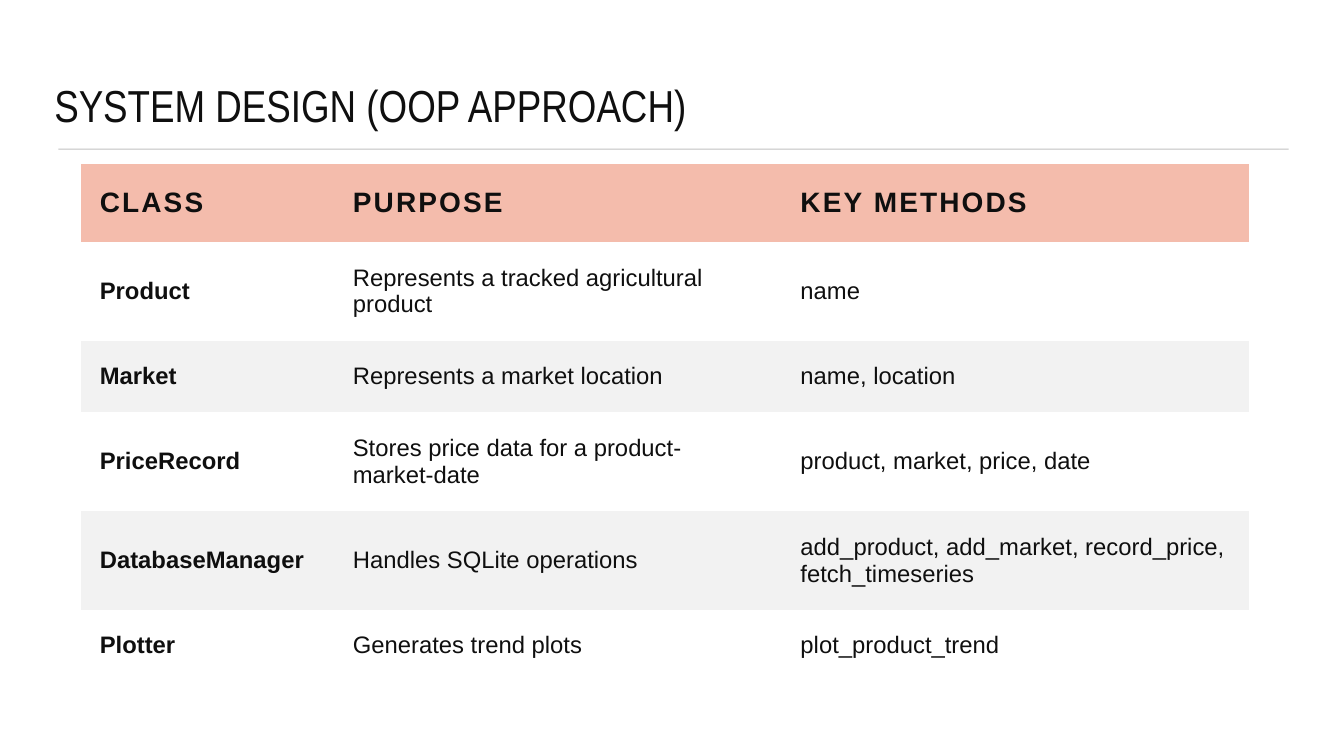
from dataclasses import dataclass

from lxml import etree
from pptx import Presentation
from pptx.dml.color import RGBColor
from pptx.enum.shapes import MSO_CONNECTOR
from pptx.enum.text import MSO_ANCHOR
from pptx.oxml.ns import qn
from pptx.util import Inches, Pt

STRAIGHT = MSO_CONNECTOR.STRAIGHT
MIDDLE, BOTTOM = MSO_ANCHOR.MIDDLE, MSO_ANCHOR.BOTTOM
BLANK_LAYOUT = 6
PLAIN_TABLE_STYLE = "{2D5ABB26-0587-4C30-8999-92F81FD0307C}"


@dataclass(frozen=True)
class Theme:
    ink: RGBColor = RGBColor(0x0F, 0x0F, 0x0F)
    header_fill: RGBColor = RGBColor(0xF4, 0xBC, 0xAC)
    band_fill: RGBColor = RGBColor(0xF2, 0xF2, 0xF2)
    title_font: str = "Arial Narrow"
    body_font: str = "Arial"
    title_size: int = 32
    header_size: int = 20
    body_size: int = 17
    header_tracking: int = 150  # hundredths of a point
    rule_opacity: int = 25  # percent
    rule_width: float = 0.75
    cell_inset: float = 0.19


THEME = Theme()
SLIDE_SIZE = (13.33, 7.5)

# Boxes: left, top, width, height in inches
TITLE_BOX = (0.44, 0.36, 12.31, 1)
RULE_BOX = (0.58, 1.48, 12.2, 0)
CLASSES_BOX = (0.8, 1.63, 11.59, 5.13)

# Column and row shares of the table
COLUMN_SHARES = (2.51, 4.44, 4.64)
ROW_SHARES = (0.77, 0.98, 0.71, 0.98, 0.98, 0.71)

CLASSES = (
    ("CLASS", "PURPOSE", "KEY METHODS"),
    ("Product", "Represents a tracked agricultural product", "name"),
    ("Market", "Represents a market location", "name, location"),
    ("PriceRecord", "Stores price data for a product-market-date",
     "product, market, price, date"),
    ("DatabaseManager", "Handles SQLite operations",
     "add_product, add_market, record_price, fetch_timeseries"),
    ("Plotter", "Generates trend plots", "plot_product_trend"),
)


def style_font(paragraph, name, size, bold=False):
    font = paragraph.font
    font.name, font.size, font.bold = name, Pt(size), bold
    font.color.rgb = THEME.ink


def add_title(slide, box, text):
    title = slide.shapes.add_textbox(*map(Inches, box))
    frame = title.text_frame
    frame.word_wrap = True
    frame.vertical_anchor = BOTTOM
    heading = frame.paragraphs[0]
    heading.text = text
    heading.line_spacing = 0.9
    style_font(heading, THEME.title_font, THEME.title_size)


def add_rule(slide, box):
    left, top, width, height = box
    rule = slide.shapes.add_connector(
        STRAIGHT, *map(Inches, (left, top, left + width, top + height)))
    rule.line.color.rgb = THEME.ink
    rule.line.width = Pt(THEME.rule_width)
    # Translucent stroke and no shadow
    properties = rule._element.spPr
    color = properties.find(".//" + qn("a:srgbClr"))
    etree.SubElement(color, qn("a:alpha"), val=str(THEME.rule_opacity * 1000))
    etree.SubElement(properties, qn("a:effectLst"))


def fill_cell(cell, text, row, column):
    is_header = row == 0
    cell.vertical_anchor = MIDDLE
    cell.margin_left = cell.margin_right = Inches(THEME.cell_inset)
    cell.margin_top = cell.margin_bottom = Inches(THEME.cell_inset)

    # Header colour, then a band on every second class
    if is_header or row % 2 == 0:
        cell.fill.solid()
        cell.fill.fore_color.rgb = (
            THEME.header_fill if is_header else THEME.band_fill)
    else:
        cell.fill.background()

    label = cell.text_frame.paragraphs[0]
    label.text = text
    size = THEME.header_size if is_header else THEME.body_size
    style_font(label, THEME.body_font, size, bold=is_header or column == 0)
    if is_header:
        run_properties = label.runs[0]._r.get_or_add_rPr()
        run_properties.set("spc", str(THEME.header_tracking))


def add_class_table(slide, box, rows):
    frame = slide.shapes.add_table(
        len(rows), len(rows[0]), *map(Inches, box))
    table = frame.table
    table.horz_banding = False
    table._tbl.tblPr.find(qn("a:tableStyleId")).text = PLAIN_TABLE_STYLE

    width, height = box[2:]
    for column, share in zip(table.columns, COLUMN_SHARES):
        column.width = Inches(width * share / sum(COLUMN_SHARES))
    for row, share in zip(table.rows, ROW_SHARES):
        row.height = Inches(height * share / sum(ROW_SHARES))

    for r, texts in enumerate(rows):
        for c, text in enumerate(texts):
            fill_cell(table.cell(r, c), text, r, c)


def main():
    deck = Presentation()
    deck.slide_width, deck.slide_height = map(Inches, SLIDE_SIZE)
    slide = deck.slides.add_slide(deck.slide_layouts[BLANK_LAYOUT])
    add_rule(slide, RULE_BOX)
    add_title(slide, TITLE_BOX, "SYSTEM DESIGN (OOP APPROACH)")
    add_class_table(slide, CLASSES_BOX, CLASSES)
    deck.save("out.pptx")


if __name__ == "__main__":
    main()
